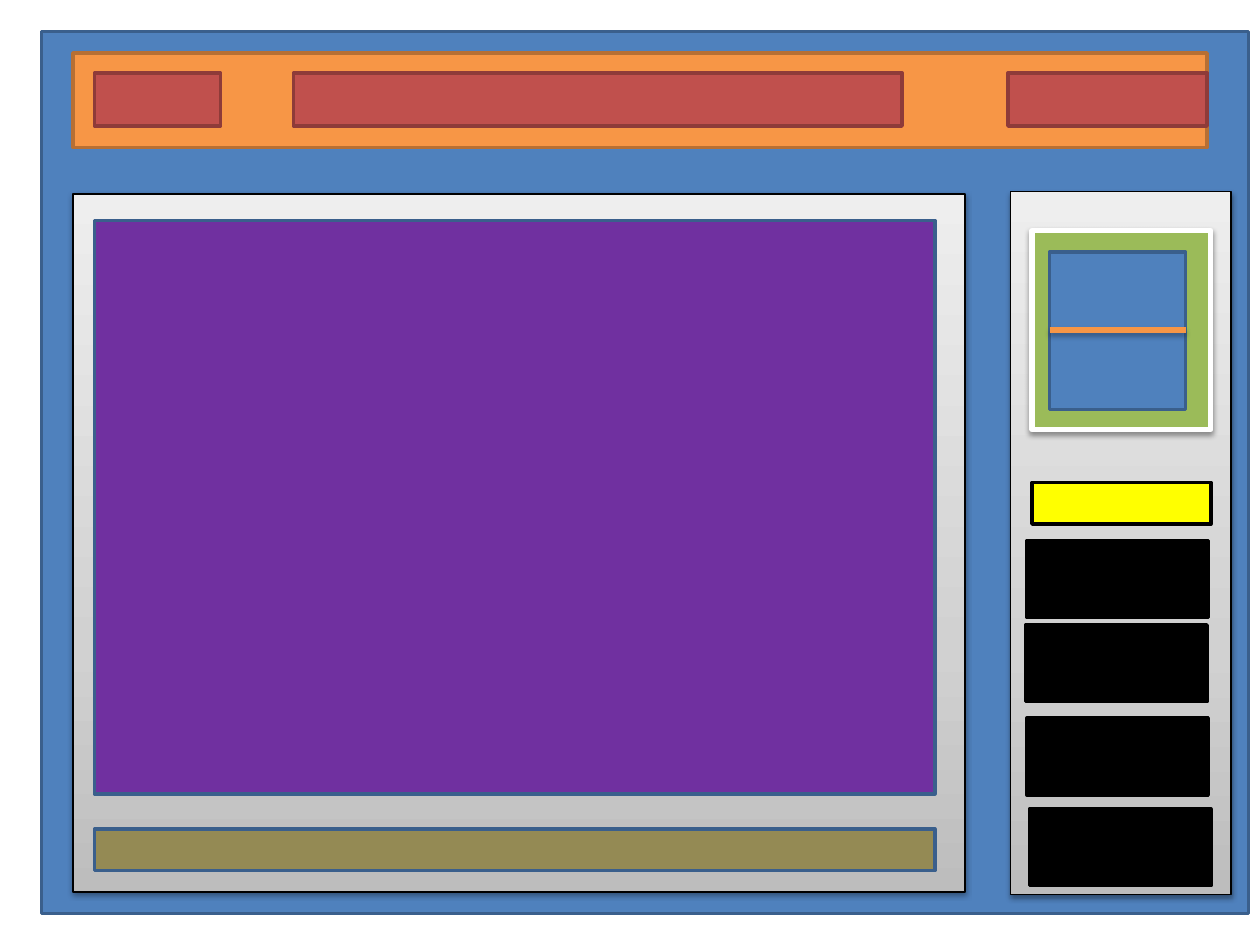
from pptx import Presentation
from pptx.dml.color import RGBColor
from pptx.enum.shapes import MSO_CONNECTOR as Connector, MSO_SHAPE as Shape
from pptx.oxml import parse_xml
from pptx.oxml.ns import nsdecls, qn
from pptx.util import Inches, Pt

BLUE, NAVY = "4F81BD", "3A5F8C"
ORANGE, RED, GREEN = "F79646", "C0504D", "9BBB59"
BLACK, WHITE = "000000", "FFFFFF"


def color(value):
    return RGBColor.from_string(value)


class Wireframe:
    """Holds the style and the current slide."""

    gray_stops = ((0, "BDBDBD"), (35, "D1D1D1"), (100, "EEEEEE"))

    def __init__(self, slide):
        self.shapes = slide.shapes

    def box(self, left, top, width, height, fill, line=NAVY, weight=2):
        box = self.shapes.add_shape(Shape.RECTANGLE, Inches(left), Inches(top),
                                    Inches(width), Inches(height))
        box.fill.solid()
        box.fill.fore_color.rgb = color(fill)
        box.line.color.rgb = color(line)
        box.line.width = Pt(weight)
        box.shadow.inherit = False
        return box

    def panel(self, left, top, width, height):
        panel = self.box(left, top, width, height, WHITE, BLACK, 0.75)
        stops = "".join(
            f'<a:gs pos="{pos * 1000}"><a:srgbClr val="{tone}"/></a:gs>'
            for pos, tone in self.gray_stops)
        gradient = parse_xml(
            f'<a:gradFill {nsdecls("a")} rotWithShape="1"><a:gsLst>{stops}</a:gsLst>'
            '<a:lin ang="16200000" scaled="0"/></a:gradFill>')
        properties = panel._element.spPr
        properties.replace(properties.find(qn("a:solidFill")), gradient)
        self.shadow(panel)

    def divider(self, left, top, width, line, weight):
        divider = self.shapes.add_connector(
            Connector.STRAIGHT, Inches(left), Inches(top),
            Inches(left + width), Inches(top))
        divider.line.color.rgb = color(line)
        divider.line.width = Pt(weight)
        self.shadow(divider, 1.8, 35)

    def shadow(self, shape, distance=1.6, opacity=38):
        properties = shape._element.spPr
        for effects in properties.findall(qn("a:effectLst")):
            properties.remove(effects)
        properties.append(parse_xml(
            f'<a:effectLst {nsdecls("a")}>'
            f'<a:outerShdw blurRad="{Pt(3.1)}" dist="{Pt(distance)}" dir="5400000" '
            f'rotWithShape="0"><a:srgbClr val="{BLACK}">'
            f'<a:alpha val="{opacity * 1000}"/></a:srgbClr></a:outerShdw>'
            '</a:effectLst>'))


deck = Presentation()
deck.slide_width, deck.slide_height = Inches(10), Inches(7.5)
page = Wireframe(deck.slides.add_slide(deck.slide_layouts[6]))

# Window and header bar
page.box(0.33, 0.25, 9.58, 7, BLUE)
page.box(0.58, 0.42, 9, 0.75, ORANGE, "B76F34")
for left, width in ((0.75, 1), (2.33, 4.83), (8, 1.58)):
    page.box(left, 0.58, width, 0.42, RED, "8E3B39")

# Sidebar: framed preview, highlighted field and buttons
page.panel(8.02, 1.52, 1.75, 5.58)
frame = page.box(8.19, 1.83, 1.42, 1.58, GREEN, WHITE, 3)
page.shadow(frame)
page.box(8.33, 2, 1.08, 1.25, BLUE)
page.divider(8.33, 2.62, 1.08, ORANGE, 3)
page.box(8.19, 3.83, 1.42, 0.33, "FFFF00", BLACK)
for left, top in ((8.15, 4.29), (8.14, 4.96), (8.15, 5.7), (8.17, 6.42)):
    page.box(left, top, 1.44, 0.61, BLACK, BLACK)

# Main panel: content area and footer strip
page.panel(0.58, 1.54, 7.08, 5.54)
for top, height, fill in ((1.75, 4.55, "7030A0"), (6.58, 0.33, "948A54")):
    page.box(0.75, top, 6.67, height, fill)

deck.save("out.pptx")
